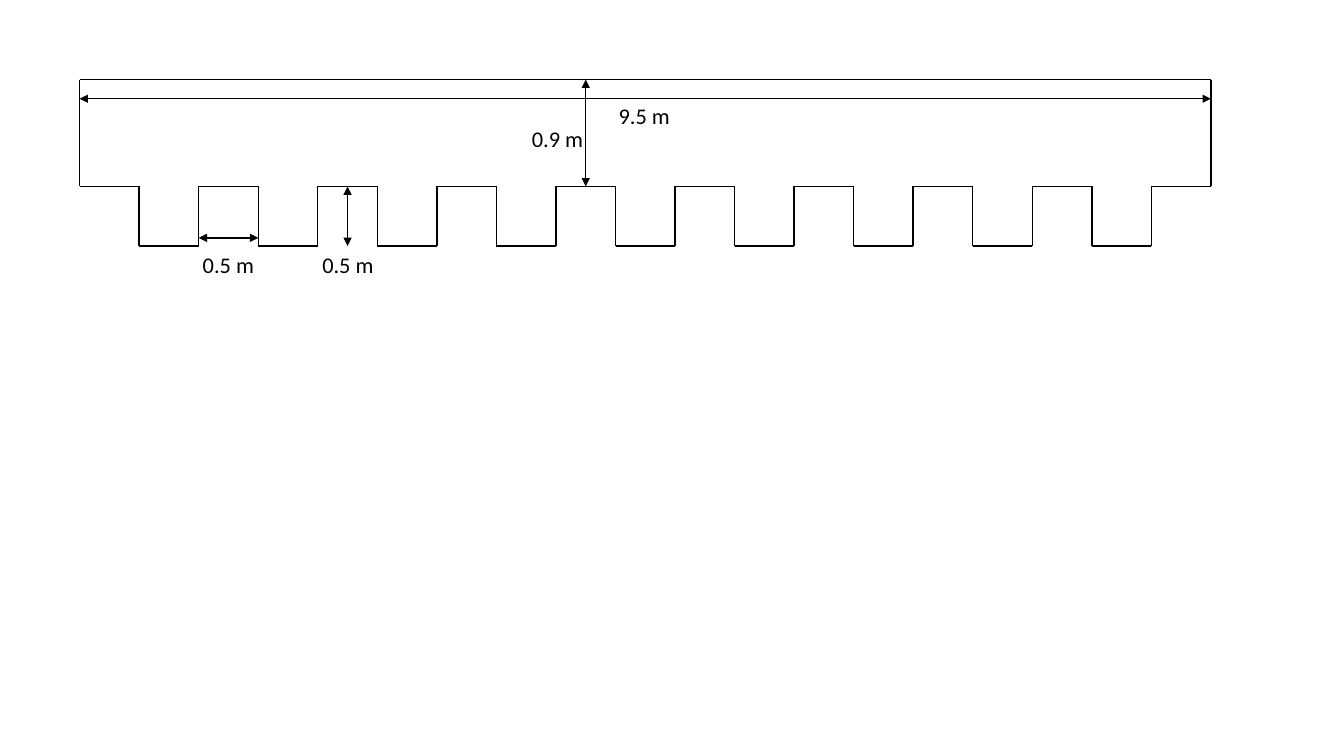
from lxml import etree
from pptx import Presentation
from pptx.dml.color import RGBColor
from pptx.enum import shapes, text
from pptx.oxml import ns
from pptx.util import Inches, Pt

COLORS = {"ink": "000000"}
FONT = "Calibri"
LEFT, RIGHT, TOP, BASE, FOOT = 0.79, 12.01, 0.79, 1.85, 2.44
STEPS = 19
STEP = (RIGHT - LEFT) / STEPS


def grid_x(i):
    return LEFT + i * STEP


def add_line(s, x1, y1, x2, y2):
    line = s.shapes.add_connector(
        shapes.MSO_CONNECTOR.STRAIGHT,
        Inches(x1), Inches(y1), Inches(x2), Inches(y2))
    line.line.color.rgb = RGBColor.from_string(COLORS["ink"])
    line.line.width = Pt(1)
    etree.SubElement(line._element.spPr, ns.qn("a:effectLst"))
    return line


def add_dimension(s, x1, y1, x2, y2):
    ln = add_line(s, x1, y1, x2, y2).line._get_or_add_ln()
    for end in ("a:headEnd", "a:tailEnd"):
        etree.SubElement(ln, ns.qn(end), type="triangle")


def add_label(s, words, x, y, w, h=0.37):
    tf = s.shapes.add_textbox(Inches(x), Inches(y), Inches(w), Inches(h)).text_frame
    tf.word_wrap = True
    tf.auto_size = text.MSO_AUTO_SIZE.SHAPE_TO_FIT_TEXT
    p = tf.paragraphs[0]
    p.alignment = text.PP_ALIGN.CENTER
    r = p.add_run()
    r.text = words
    r.font.name = FONT
    r.font.size = Pt(16)
    r.font.color.rgb = RGBColor.from_string(COLORS["ink"])


def add_outline(s):
    add_line(s, LEFT, TOP, RIGHT, TOP)
    for x in (LEFT, RIGHT):
        add_line(s, x, TOP, x, BASE)
    for i in range(STEPS):
        y = FOOT if i % 2 else BASE
        add_line(s, grid_x(i), y, grid_x(i + 1), y)
    for i in range(1, STEPS):
        add_line(s, grid_x(i), BASE, grid_x(i), FOOT)


def main():
    prs = Presentation()
    prs.slide_width, prs.slide_height = Inches(13.33), Inches(7.5)
    s = prs.slides.add_slide(prs.slide_layouts[6])
    add_outline(s)

    add_dimension(s, LEFT, 0.98, RIGHT, 0.98)
    add_dimension(s, grid_x(8.5), TOP, grid_x(8.5), BASE)
    add_dimension(s, grid_x(2), 2.36, grid_x(3), 2.36)
    add_dimension(s, grid_x(4.5), BASE, grid_x(4.5), FOOT)

    add_label(s, "9.5 m", 5.96, 0.96, 0.86)
    add_label(s, "0.9 m", 5.13, 1.19, 0.8)
    add_label(s, "0.5 m", 1.85, FOOT, 0.83)
    add_label(s, "0.5 m", 3.04, FOOT, 0.82)
    prs.save("out.pptx")


if __name__ == "__main__":
    main()
